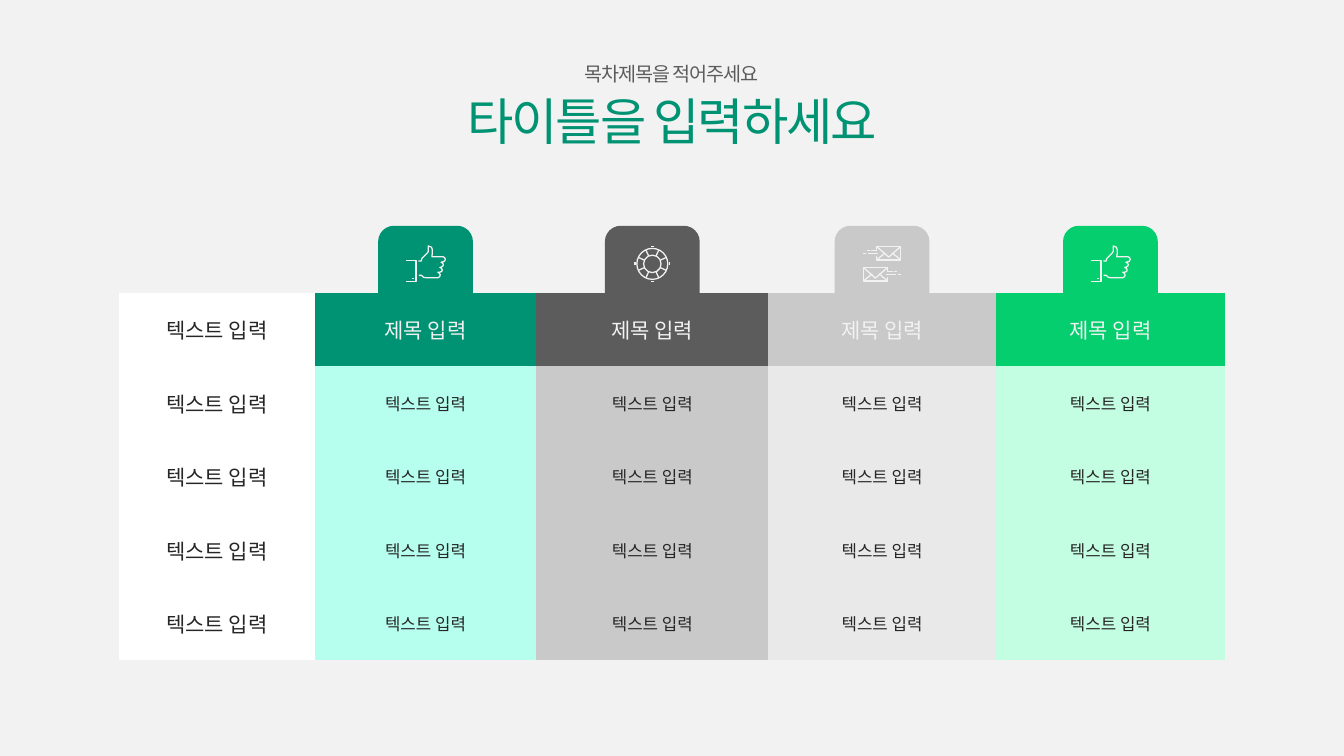
from math import cos, radians, sin

from pptx import Presentation
from pptx.dml.color import RGBColor
from pptx.enum.shapes import MSO_CONNECTOR as Connector, MSO_SHAPE as Shape
from pptx.enum.text import MSO_ANCHOR as Anchor, MSO_AUTO_SIZE as AutoSize, PP_ALIGN as Align
from pptx.oxml.ns import qn
from pptx.oxml.xmlchemy import OxmlElement
from pptx.util import Cm, Pt

FONT = "Noto Sans CJK KR"
NO_STYLE = "{2D5ABB26-0587-4C30-8999-92F81FD0307C}"
COLORS = {
    "background": "F2F2F2", "ink": "262626", "white": "FFFFFF",
    "teal": "009373", "mint": "B6FFEF",
    "dark": "5C5C5C", "silver": "C9C9C9", "pale": "E9E9E9",
    "green": "04CE6E", "lime": "C4FEE2",
}
RGB = {name: RGBColor.from_string(value) for name, value in COLORS.items()}


def write(frame, text, size, color, spacing=0):
    frame.text = text
    paragraph = frame.paragraphs[0]
    paragraph.alignment = Align.CENTER
    run = paragraph.runs[0]
    run.font.size = Pt(size)
    run.font.name = FONT
    run.font.color.rgb = RGB[color]
    properties = run.font._element
    if spacing:
        properties.set("spc", str(spacing))
    east_asian = OxmlElement("a:ea")
    east_asian.set("typeface", FONT)
    properties.append(east_asian)


def stroke(points, x, y):
    if len(points) == 2:
        (x1, y1), (x2, y2) = points
        line = slide.shapes.add_connector(
            Connector.STRAIGHT, x + Cm(x1 / 100), y + Cm(y1 / 100), x + Cm(x2 / 100), y + Cm(y2 / 100))
        line._element.spPr.append(OxmlElement("a:effectLst"))
    else:
        builder = slide.shapes.build_freeform(*points[0], scale=Cm(0.01))
        builder.add_line_segments(points[1:], close=False)
        line = builder.convert_to_shape(x, y)
        line.fill.background()
        line.shadow.inherit = False
    line.line.color.rgb = RGB["background"]
    line.line.width = Pt(0.9)


prs = Presentation()
prs.slide_width, prs.slide_height = Cm(33.87), Cm(19.05)
slide = prs.slides.add_slide(prs.slide_layouts[5])
slide.background.fill.solid()
slide.background.fill.fore_color.rgb = RGB["background"]

title = slide.shapes.title
title.left, title.top, title.width, title.height = Cm(11.48), Cm(2.26), Cm(10.92), Cm(1.55)
subtitle = slide.shapes.add_textbox(Cm(14.61), Cm(1.57), Cm(4.62), Cm(0.61))
for box, text, size, color, spacing in (
    (title, "타이틀을 입력하세요", 36, "teal", -150),
    (subtitle, "목차제목을 적어주세요", 14, "dark", -80),
):
    frame = box.text_frame
    write(frame, text, size, color, spacing)
    frame.margin_left = frame.margin_right = frame.margin_top = frame.margin_bottom = 0
    frame.word_wrap = False
    frame.auto_size = AutoSize.NONE
    frame.vertical_anchor = Anchor.TOP

columns = [
    (4.93, "white", "white"),
    (5.59, "teal", "mint"),
    (5.84, "dark", "silver"),
    (5.74, "silver", "pale"),
    (5.77, "green", "lime"),
]
ROWS, ROW_HEIGHT, TAB = 5, Cm(1.85), Cm(2.39)
table_left, table_top = Cm(3), Cm(7.38)

tab_centers = []
column_left = table_left
for number, (width, head, body) in enumerate(columns):
    if number:
        center = column_left + Cm(width / 2)
        tab_centers.append(center)
        tab = slide.shapes.add_shape(Shape.ROUNDED_RECTANGLE, int(center - TAB / 2), Cm(5.69), TAB, TAB)
        tab.fill.solid()
        tab.fill.fore_color.rgb = RGB[head]
        tab.line.fill.background()
        tab.shadow.inherit = False
    column_left += Cm(width)

table = slide.shapes.add_table(
    ROWS, len(columns), table_left, table_top, column_left - table_left, ROW_HEIGHT * ROWS).table
table._tbl.tblPr.find(qn("a:tableStyleId")).text = NO_STYLE
table.first_row = table.horz_banding = False
for row in table.rows:
    row.height = ROW_HEIGHT
for c, (width, head, body) in enumerate(columns):
    table.columns[c].width = Cm(width)
    for r in range(ROWS):
        cell = table.cell(r, c)
        cell.fill.solid()
        cell.fill.fore_color.rgb = RGB[body if r else head]
        cell.vertical_anchor = Anchor.MIDDLE
        is_heading = r == 0 and c > 0
        write(cell.text_frame, "제목 입력" if is_heading else "텍스트 입력",
              12 if r and c else 15, "background" if is_heading else "ink")

icon_y = Cm(6.65)
hand = [
    (31, 75), (38, 75), (43, 80), (51, 81), (79, 81), (84, 78), (85, 73), (82, 69), (79, 67),
    (84, 67), (89, 65), (90, 61), (88, 57), (84, 55), (88, 54), (92, 51), (93, 48), (91, 44),
    (87, 42), (91, 41), (96, 39), (98, 35), (96, 30), (92, 28), (64, 28), (65, 20), (65, 10),
    (63, 4), (58, 2), (55, 1), (55, 15), (52, 19), (39, 32), (37, 39), (30, 39),
]
cuff = [(0, 37), (24, 37), (24, 90), (0, 90)]
cuff_button = [(15, 83), (18, 83)]
for center in (tab_centers[0], tab_centers[3]):
    for part in (hand, cuff, cuff_button):
        stroke(part, center - Cm(0.48), icon_y - Cm(0.46))

buoy_x = tab_centers[1]
for radius in (Cm(0.39), Cm(0.22)):
    ring = slide.shapes.add_shape(
        Shape.OVAL, buoy_x - radius, icon_y - radius, radius * 2, radius * 2)
    ring.fill.background()
    ring.line.color.rgb = RGB["background"]
    ring.line.width = Pt(0.9)
    ring.shadow.inherit = False
for quarter in range(0, 360, 90):
    for turn in (-25, 25):
        angle = radians(quarter + turn)
        stroke([(r * cos(angle), r * sin(angle)) for r in (22, 39)], buoy_x, icon_y)
    angle = radians(quarter)
    stroke([(44 * cos(angle) - d * sin(angle), 44 * sin(angle) + d * cos(angle))
            for d in (-4, 4)], buoy_x, icon_y)

envelope = [
    [(-14, 11), (-14, 0), (47, 0), (47, 34), (-14, 34), (-14, 24)],
    [(-14, 0), (17, 27), (47, 0)],
    [(-14, 34), (8, 16)],
    [(47, 34), (25, 16)],
    [(-36, 18), (-10, 18)],
    [(-28, 10), (-13, 10)],
    [(-38, 10), (-30, 10)],
    [(-48, 18), (-41, 18)],
]
for side, top in ((1, Cm(6.21)), (-1, Cm(6.74))):
    for part in envelope:
        stroke([(side * x, y) for x, y in part], tab_centers[2], top)

prs.save("out.pptx")
